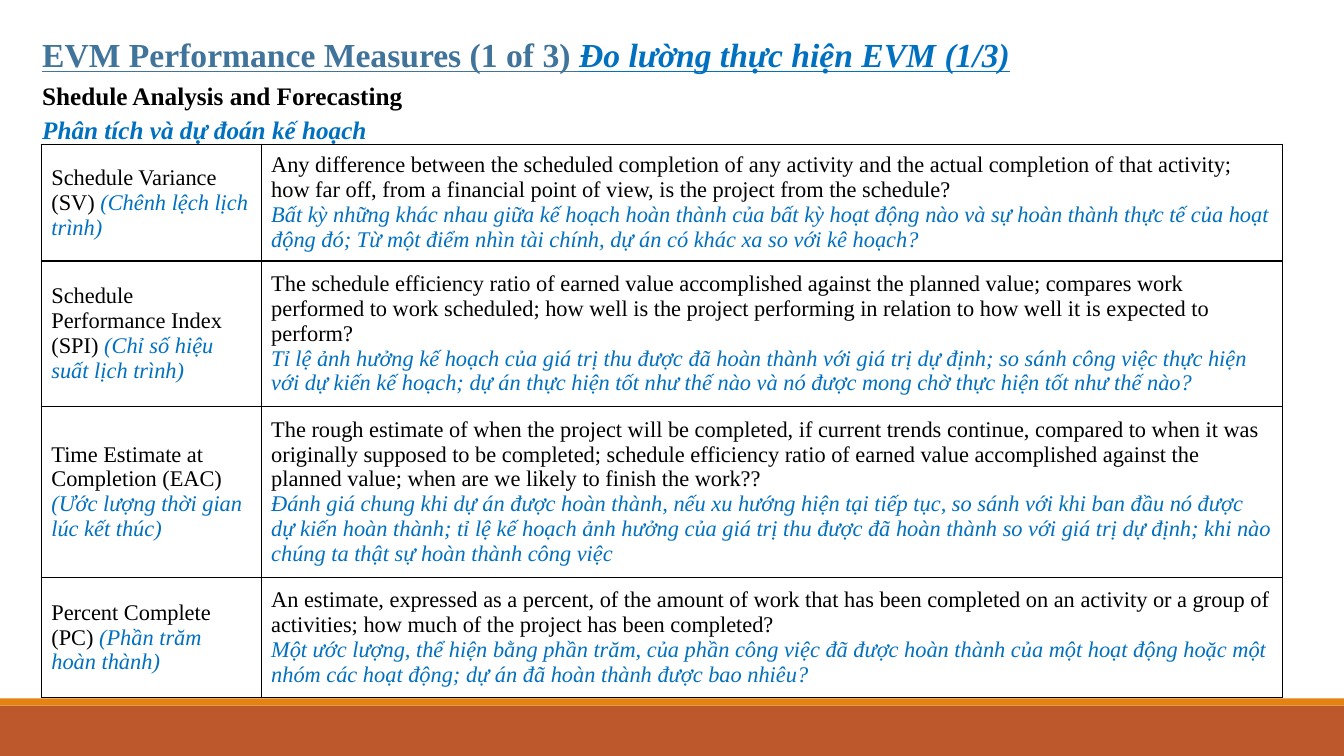
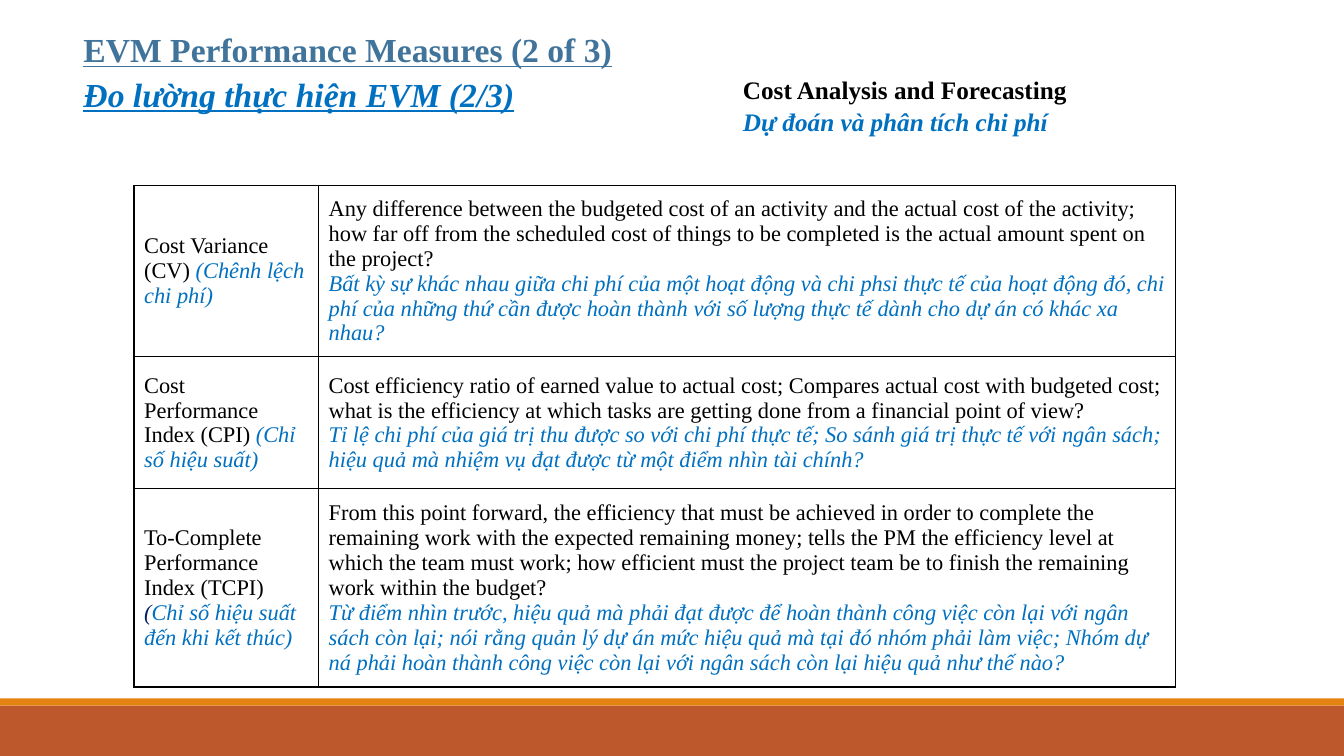
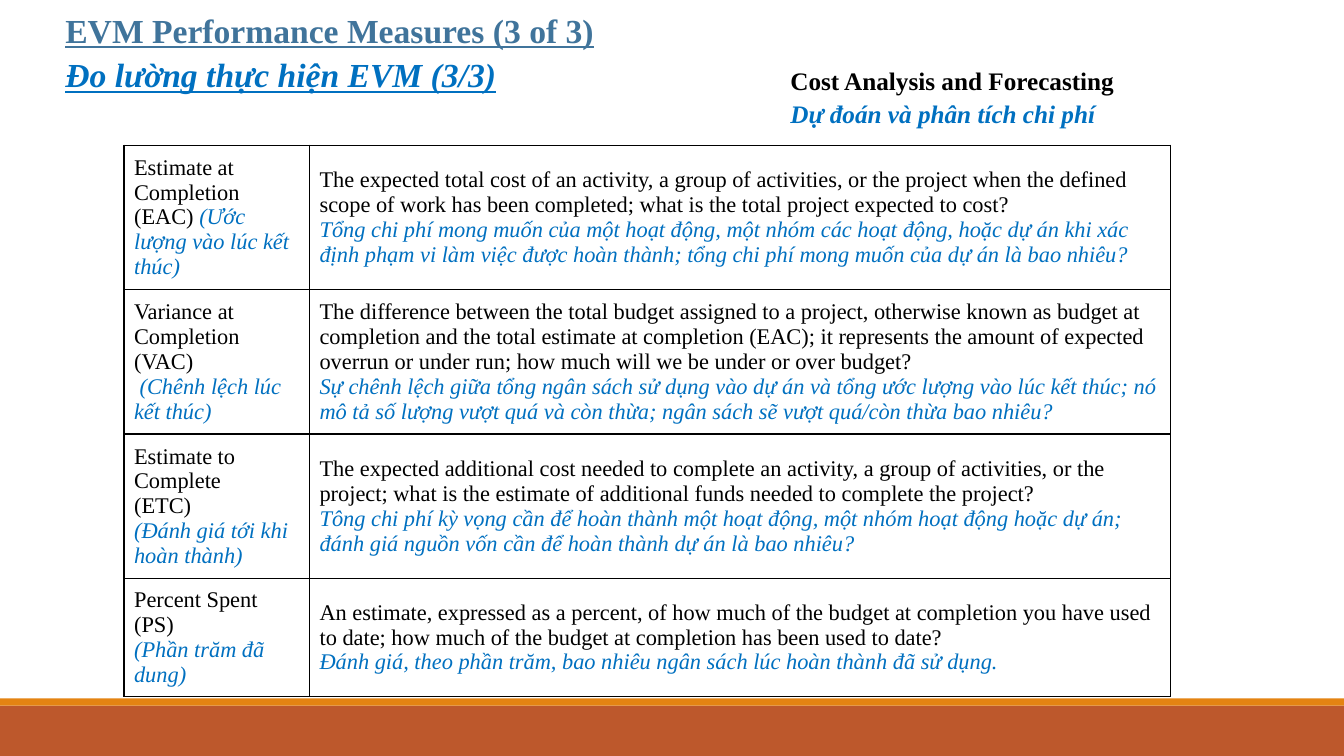
from copy import deepcopy

from lxml import etree
from pptx import Presentation
from pptx.dml.color import RGBColor
from pptx.enum.shapes import MSO_SHAPE
from pptx.enum.text import MSO_ANCHOR
from pptx.oxml.ns import qn
from pptx.util import Inches, Pt

RECT = MSO_SHAPE.RECTANGLE
MIDDLE = MSO_ANCHOR.MIDDLE
BLACK = RGBColor(0x00, 0x00, 0x00)
BLUE = RGBColor(0x00, 0x70, 0xC0)
NAVY = RGBColor(0x00, 0x20, 0x60)
STEEL = RGBColor(0x40, 0x74, 0x9B)
RUST = RGBColor(0xBD, 0x58, 0x2C)
ORANGE = RGBColor(0xE4, 0x83, 0x12)

FONT = "Times New Roman"
WIDTH, HEIGHT = 13.33, 7.5
BANDS = [(7, 0.5, RUST), (6.93, 0.07, ORANGE)]
TITLE = {"color": STEEL, "spacing": 1.1,
         "font": {"size": Pt(24), "bold": True, "underline": True}}
HEADING = {"color": BLACK, "spacing": 1.1, "font": {"size": Pt(18), "bold": True}}
CELL = {"color": BLACK, "spacing": 1, "font": {"size": Pt(16)}}

# Each text is (English, Vietnamese); English ending in a space shares its paragraph.
SLIDES = [
    {
        "texts": [
            ((0.32, 0.72, 4.91, 0.71), HEADING,
             ("Shedule Analysis and Forecasting", "Phân tích và dự đoán kế hoạch")),
            ((0.32, 0.25, 10.81, 0.91), TITLE,
             ("EVM Performance Measures (1 of 3) ", "Đo lường thực hiện EVM (1/3)")),
        ],
        "at": (0.41, 1.43), "cols": (2.18, 10.13), "rows": (1.16, 1.44, 1.7, 1.19),
        "cells": [
            (("Schedule Variance (SV) ", "(Chênh lệch lịch trình)"),
             ("Any difference between the scheduled completion of any activity and the actual completion of that activity; how far off, from a financial point of view, is the project from the schedule?",
              "Bất kỳ những khác nhau giữa kế hoạch hoàn thành của bất kỳ hoạt động nào và sự hoàn thành thực tế của hoạt động đó; Từ một điểm nhìn tài chính, dự án có khác xa so với kê hoạch?")),
            (("Schedule Performance Index (SPI) ", "(Chỉ số hiệu suất lịch trình)"),
             ("The schedule efficiency ratio of earned value accomplished against the planned value; compares work performed to work scheduled; how well is the project performing in relation to how well it is expected to perform?",
              "Tỉ lệ ảnh hưởng kế hoạch của giá trị thu được đã hoàn thành với giá trị dự định; so sánh công việc thực hiện với dự kiến kế hoạch; dự án thực hiện tốt như thế nào và nó được mong chờ thực hiện tốt như thế nào?")),
            (("Time Estimate at Completion (EAC)", "(Ước lượng thời gian lúc kết thúc)"),
             ("The rough estimate of when the project will be completed, if current trends continue, compared to when it was originally supposed to be completed; schedule efficiency ratio of earned value accomplished against the planned value; when are we likely to finish the work??",
              "Đánh giá chung khi dự án được hoàn thành, nếu xu hướng hiện tại tiếp tục, so sánh với khi ban đầu nó được dự kiến hoàn thành; tỉ lệ kế hoạch ảnh hưởng của giá trị thu được đã hoàn thành so với giá trị dự định; khi nào chúng ta thật sự hoàn thành công việc")),
            (("Percent Complete (PC) ", "(Phần trăm hoàn thành)"),
             ("An estimate, expressed as a percent, of the amount of work that has been completed on an activity or a group of activities; how much of the project has been completed?",
              "Một ước lượng, thể hiện bằng phần trăm, của phần công việc đã được hoàn thành của một hoạt động hoặc một nhóm các hoạt động; dự án đã hoàn thành được bao nhiêu?")),
        ],
    },
    {
        "texts": [
            ((7.27, 0.66, 4.91, 0.4), HEADING, ("Cost Analysis and Forecasting",)),
            ((0.73, 0.2, 8.1, 1.31), TITLE,
             ("EVM Performance Measures (2 of 3)", "Đo lường thực hiện EVM (2/3)")),
            ((7.27, 0.98, 4.91, 0.4), HEADING, ("", "Dự đoán và phân tích chi phí")),
        ],
        "at": (1.33, 1.84), "cols": (1.83, 8.5), "rows": (1.7, 1.31, 1.96),
        "cells": [
            (("Cost Variance\n(CV) ", "(Chênh lệch chi phí)"),
             ("Any difference between the budgeted cost of an activity and the actual cost of the activity; how far off from the scheduled cost of things to be completed is the actual amount spent on the project?",
              "Bất kỳ sự khác nhau giữa chi phí của một hoạt động và chi phsi thực tế của hoạt động đó, chi phí của những thứ cần được hoàn thành với số lượng thực tế dành cho dự án có khác xa nhau?")),
            (("Cost\nPerformance\nIndex (CPI) ", "(Chỉ số hiệu suất)"),
             ("Cost efficiency ratio of earned value to actual cost; Compares actual cost with budgeted cost; what is the efficiency at which tasks are getting done from a financial point of view?",
              "Tỉ lệ chi phí của giá trị thu được so với chi phí thực tế; So sánh giá trị thực tế với ngân sách; hiệu quả mà nhiệm vụ đạt được từ một điểm nhìn tài chính?")),
            (("To-Complete\nPerformance\nIndex (TCPI) ", "Chỉ số hiệu suất đến khi kết thúc)", "("),
             ("From this point forward, the efficiency that must be achieved in order to complete the remaining work with the expected remaining money; tells the PM the efficiency level at which the team must work; how efficient must the project team be to finish the remaining work within the budget?",
              "Từ điểm nhìn trước, hiệu quả mà phải đạt được để hoàn thành công việc còn lại với ngân sách còn lại; nói rằng quản lý dự án mức hiệu quả mà tại đó nhóm phải làm việc; Nhóm dự ná phải hoàn thành công việc còn lại với ngân sách còn lại hiệu quả như thế nào?")),
        ],
    },
    {
        "texts": [
            ((7.74, 0.57, 4.91, 0.71), HEADING,
             ("Cost Analysis and Forecasting", "Dự đoán và phân tích chi phí")),
            ((0.55, 0.01, 8.1, 1.31), TITLE,
             ("EVM Performance Measures (3 of 3)", "Đo lường thực hiện EVM (3/3)")),
        ],
        "at": (1.23, 1.44), "cols": (1.84, 8.54), "rows": (1.43, 1.43, 1.43, 1.17),
        "cells": [
            (("Estimate at\nCompletion\n(EAC) ", "(Ước lượng vào lúc kết thúc)"),
             ("The expected total cost of an activity, a group of activities, or the project when the defined scope of work has been completed; what is the total project expected to cost?",
              "Tổng chi phí mong muốn của một hoạt động, một nhóm các hoạt động, hoặc dự án khi xác định phạm vi làm việc được hoàn thành; tổng chi phí mong muốn của dự án là bao nhiêu?")),
            (("Variance at\nCompletion\n(VAC)", " (Chênh lệch lúc kết thúc)"),
             ("The difference between the total budget assigned to a project, otherwise known as budget at completion and the total estimate at completion (EAC); it represents the amount of expected overrun or under run; how much will we be under or over budget?",
              "Sự chênh lệch giữa tổng ngân sách sử dụng vào dự án và tổng ước lượng vào lúc kết thúc; nó mô tả số lượng vượt quá và còn thừa; ngân sách sẽ vượt quá/còn thừa bao nhiêu?")),
            (("Estimate to\nComplete\n(ETC)", "(Đánh giá tới khi hoàn thành)"),
             ("The expected additional cost needed to complete an activity, a group of activities, or the project; what is the estimate of additional funds needed to complete the project?",
              "Tông chi phí kỳ vọng cần để hoàn thành một hoạt động, một nhóm hoạt động hoặc dự án; đánh giá nguồn vốn cần để hoàn thành dự án là bao nhiêu?")),
            (("Percent Spent\n(PS)", "(Phần trăm đã dung)"),
             ("An estimate, expressed as a percent, of how much of the budget at completion you have used to date; how much of the budget at completion has been used to date?",
              "Đánh giá, theo phần trăm, bao nhiêu ngân sách lúc hoàn thành đã sử dụng.")),
        ],
    },
]


def add_run(p, text, style, color, italic):
    for i, line in enumerate(text.split("\n")):
        if i:
            p.add_line_break()
            p._p[-1].append(deepcopy(r._r.rPr))
        r = p.add_run()
        r.text = line
        for name, value in {**style["font"], "name": FONT, "italic": italic}.items():
            setattr(r.font, name, value)
        r.font.color.rgb = color


def write(tf, style, english="", vietnamese="", opening=""):
    p = tf.paragraphs[0]
    p.line_spacing = style["spacing"]
    if english:
        add_run(p, english, style, style["color"], False)
    if english and vietnamese and not english.endswith(" "):
        p = tf.add_paragraph()
        p.line_spacing = style["spacing"]
    if opening:
        add_run(p, opening, style, NAVY, True)
    if vietnamese:
        add_run(p, vietnamese, style, BLUE, True)


def add_bands(slide, master):
    for top, height, color in BANDS:
        sp = slide.shapes.add_shape(RECT, 0, Inches(top), Inches(WIDTH), Inches(height))
        sp.shadow.inherit = False
        sp.fill.solid()
        sp.fill.fore_color.rgb = color
        sp.line.fill.background()
        master.shapes._spTree.append(sp._element)


def add_borders(cell):
    tcPr = cell._tc.get_or_add_tcPr()
    for side in ("lnL", "lnR", "lnT", "lnB"):
        ln = etree.SubElement(tcPr, qn("a:" + side), w=str(Pt(1)))
        fill = etree.SubElement(ln, qn("a:solidFill"))
        etree.SubElement(fill, qn("a:srgbClr"), val=str(BLACK))


def add_measures(slide, at, cols, rows, cells):
    box = [Inches(v) for v in (*at, sum(cols), sum(rows))]
    table = slide.shapes.add_table(len(rows), len(cols), *box).table
    table.first_row = table.horz_banding = False
    for col, width in zip(table.columns, cols):
        col.width = Inches(width)
    for row, height, texts in zip(table.rows, rows, cells):
        row.height = Inches(height)
        for cell, text in zip(row.cells, texts):
            cell.vertical_anchor = MIDDLE
            add_borders(cell)
            cell.fill.background()
            write(cell.text_frame, CELL, *text)


def main():
    prs = Presentation()
    prs.slide_width, prs.slide_height = Inches(WIDTH), Inches(HEIGHT)
    blank = prs.slide_layouts[6]
    for i, content in enumerate(SLIDES):
        slide = prs.slides.add_slide(blank)
        if i == 0:
            add_bands(slide, prs.slide_master)
        add_measures(slide, *(content[k] for k in ("at", "cols", "rows", "cells")))
        for box, style, text in content["texts"]:
            tf = slide.shapes.add_textbox(*(Inches(v) for v in box)).text_frame
            tf.word_wrap = True
            write(tf, style, *text)
    prs.save("out.pptx")


if __name__ == "__main__":
    main()
